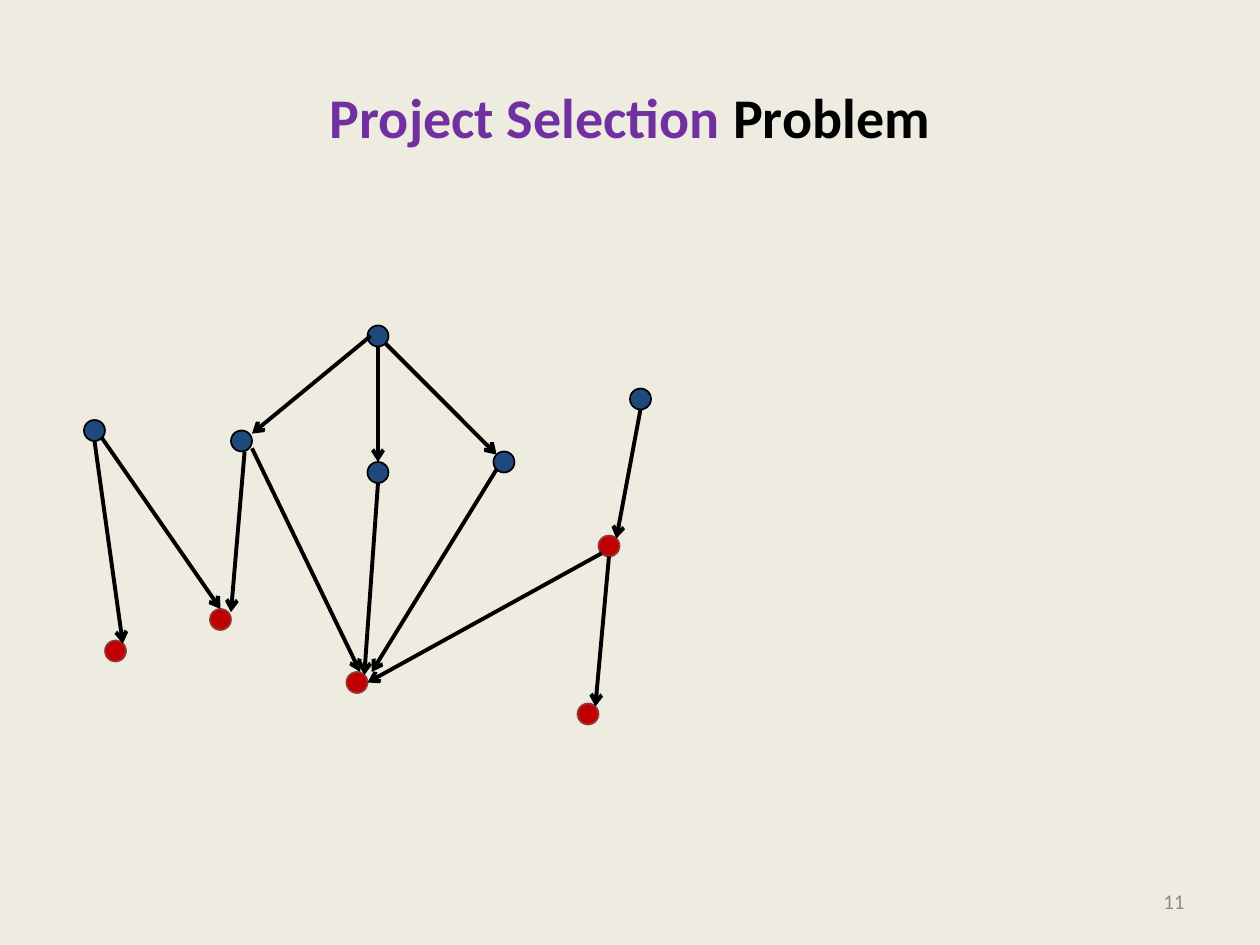
from lxml import etree
from pptx import Presentation
from pptx import util as u
from pptx.dml.color import RGBColor
from pptx.enum import shapes, text
from pptx.oxml.ns import qn

COLORS = {
    "background": "EEECE1", "accent": "7030A0", "ink": "000000", "number": "8C8C8C",
    "project": "1F497D", "tool": "C00000", "tool_line": "953735",
}
WIDTH, HEIGHT = u.Inches(10), u.Inches(7.5)
CELL = WIDTH / 120
FONT = "Calibri"

PROJECTS = {
    "top": (36, 32), "left": (23, 42), "middle": (36, 45),
    "right": (48, 44), "outer": (9, 41), "far": (61, 38),
}
TOOLS = {
    "shared": (21, 59), "hub": (34, 65), "leaf": (11, 62),
    "gate": (58, 52), "sink": (56, 68),
}
EDGES = [
    ("middle", (0, 1), "hub", (0.7, -0.7)),
    ("left", (0.3, 1), "shared", (1, -0.7)),
    ("left", (1, 0.7), "hub", (0.3, -1)),
    ("top", (0.7, 0.7), "right", (-0.7, -0.7)),
    ("top", (-0.7, 0), "left", (1, -0.7)),
    ("top", (0, 1), "middle", (0, -1)),
    ("far", (0, 1), "gate", (0.7, -0.7)),
    ("gate", (-0.7, 0.7), "hub", (1, 0)),
    ("gate", (0, 1), "sink", (0.7, -0.7)),
    ("right", (-0.7, 0.7), "hub", (1.4, -1)),
    ("outer", (0, 1), "leaf", (0.7, -0.7)),
    ("outer", (0.7, 0.7), "shared", (0, -1)),
]


def color(name):
    """Return the named colour."""
    return RGBColor.from_string(COLORS[name])


def place(shape, box):
    """Move a shape to a box given in grid columns and rows."""
    shape.left, shape.top, shape.width, shape.height = (round(CELL * side) for side in box)


def add_title(slide, box):
    """Fill the title placeholder with its two-coloured heading."""
    title = slide.shapes.title
    place(title, box)
    title.text_frame.vertical_anchor = text.MSO_ANCHOR.MIDDLE
    paragraph = title.text_frame.paragraphs[0]
    paragraph.alignment = text.PP_ALIGN.CENTER
    for words, name in (("Project Selection ", "accent"), ("Problem", "ink")):
        run = paragraph.add_run()
        run.text = words
        run.font.color.rgb = color(name)
    font = paragraph.font
    font.name, font.size, font.bold = FONT, u.Pt(32), True


def add_slide_number(slide, box):
    """Add the slide number at the right edge of its box."""
    shape = slide.shapes.add_textbox(0, 0, 0, 0)
    place(shape, box)
    frame = shape.text_frame
    frame.word_wrap = True
    frame.vertical_anchor = text.MSO_ANCHOR.MIDDLE
    paragraph = frame.paragraphs[0]
    paragraph.text = "11"
    paragraph.alignment = text.PP_ALIGN.RIGHT
    font = paragraph.font
    font.name, font.size = FONT, u.Pt(12)
    font.color.rgb = color("number")


def add_node(slide, center, fill, line):
    """Draw a round node, one cell in radius, about its center."""
    node = slide.shapes.add_shape(shapes.MSO_SHAPE.OVAL, 0, 0, 0, 0)
    place(node, (center[0] - 1, center[1] - 1, 2, 2))
    node.shadow.inherit = False
    node.fill.solid()
    node.fill.fore_color.rgb = color(fill)
    node.line.color.rgb = color(line)
    node.line.width = u.Pt(1)


def add_edge(slide, start, end):
    """Draw an arrow between two grid points."""
    points = [round(CELL * value) for value in (*start, *end)]
    edge = slide.shapes.add_connector(shapes.MSO_CONNECTOR.STRAIGHT, *points)
    edge.line.color.rgb = color("ink")
    edge.line.width = u.Pt(2.25)
    etree.SubElement(edge.line._get_or_add_ln(), qn("a:tailEnd"), type="arrow")
    etree.SubElement(edge._element.spPr, qn("a:effectLst"))


def add_graph(slide, box):
    """Draw the dependency graph relative to the corner of its box."""
    left, top = box[:2]

    def shift(point, offset=(0, 0)):
        """Turn a point of the graph into a point of the slide grid."""
        return left + point[0] + offset[0], top + point[1] + offset[1]

    for nodes, fill, line in ((PROJECTS, "project", "ink"), (TOOLS, "tool", "tool_line")):
        for center in nodes.values():
            add_node(slide, shift(center), fill, line)
    centers = {**PROJECTS, **TOOLS}
    for source, departure, target, arrival in EDGES:
        add_edge(slide, shift(centers[source], departure), shift(centers[target], arrival))


def main():
    """Build the slide and save it."""
    presentation = Presentation()
    presentation.slide_width, presentation.slide_height = WIDTH, HEIGHT
    slide = presentation.slides.add_slide(presentation.slide_layouts[5])
    slide.background.fill.solid()
    slide.background.fill.fore_color.rgb = color("background")
    add_title(slide, (6, 3.6, 108, 15))
    add_graph(slide, (0, 0, 120, 90))
    add_slide_number(slide, (86, 83.4, 28, 4.8))
    presentation.save("out.pptx")


if __name__ == "__main__":
    main()
